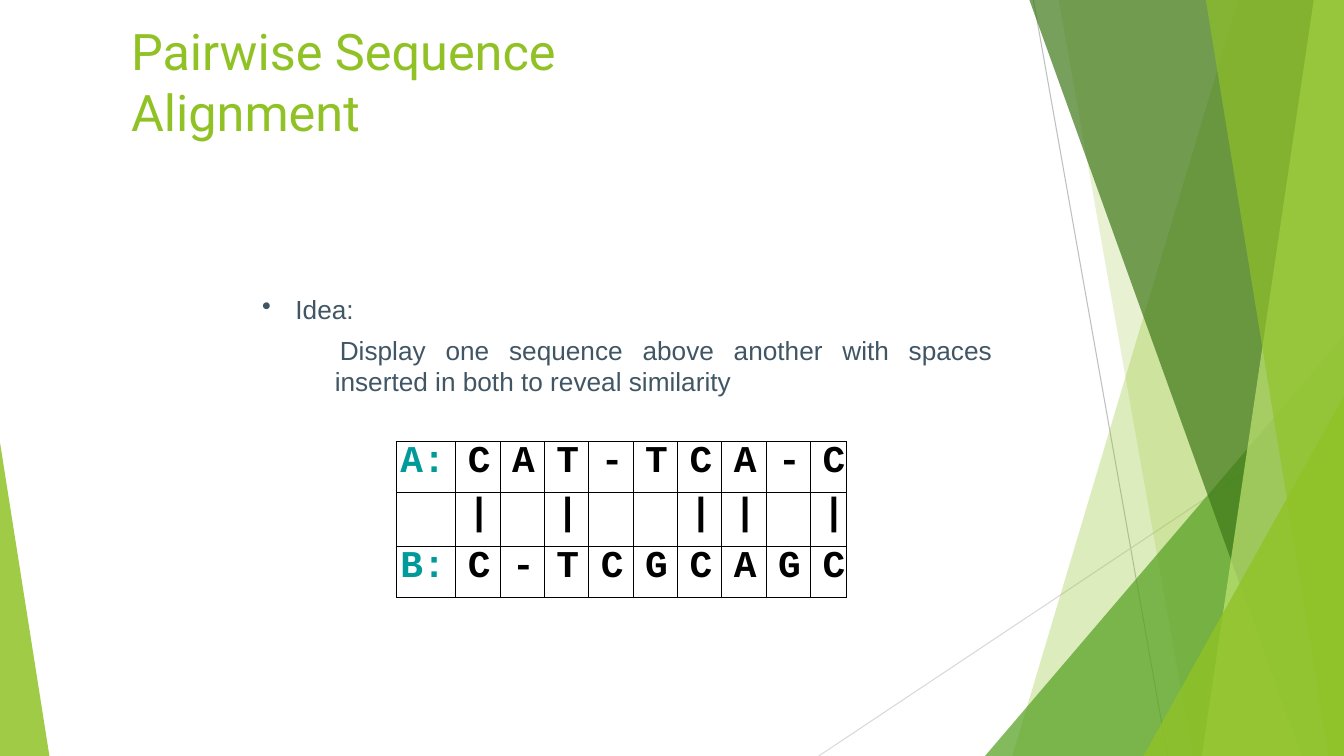
from lxml import etree
from pptx import Presentation
from pptx.dml.color import RGBColor
from pptx.enum.shapes import MSO_CONNECTOR, MSO_SHAPE
from pptx.enum.text import MSO_ANCHOR, MSO_AUTO_SIZE, PP_ALIGN
from pptx.oxml.ns import qn
from pptx.util import Inches, Pt

STRAIGHT = MSO_CONNECTOR.STRAIGHT
TRIANGLE = MSO_SHAPE.ISOSCELES_TRIANGLE
BOTTOM, TOP = MSO_ANCHOR.BOTTOM, MSO_ANCHOR.TOP
LEFT, JUSTIFY = PP_ALIGN.LEFT, PP_ALIGN.JUSTIFY

LIME = RGBColor(0x90, 0xC2, 0x26)
GREEN = RGBColor(0x54, 0xA0, 0x21)
FOREST = RGBColor(0x3F, 0x78, 0x19)
PALE_LIME = RGBColor(0xC0, 0xE4, 0x74)
GRAY = RGBColor(0xBF, 0xBF, 0xBF)
LIGHT_GRAY = RGBColor(0xD9, 0xD9, 0xD9)
SLATE = RGBColor(0x41, 0x56, 0x65)
TEAL = RGBColor(0x00, 0x9A, 0x9A)
BLACK = RGBColor(0, 0, 0)

# Content
W, H = 13.33, 7.5
TITLE = "Pairwise Sequence Alignment"
IDEA = "Idea:"
DETAIL = ("Display one sequence above another with spaces "
          "inserted in both to reveal similarity")
SEQ_A = "CAT-TCA-C"
SEQ_B = "C-TCGCAGC"
MATCHES = ["|" if a == b else "" for a, b in zip(SEQ_A, SEQ_B)]
ROWS = [["A:", *SEQ_A], ["", *MATCHES], ["B:", *SEQ_B]]
COL_WIDTHS = [0.59] + [0.44] * 8 + [0.36]
ROW_HEIGHTS = [0.51, 0.53, 0.51]

# Background: lines are (start, end, colour)
LINES = [((10.25, 0), (11.58, H), GRAY), ((W, 4.03), (8.12, H), LIGHT_GRAY)]
# Bands reach the right edge: (kind, top x, bottom x, colour, opacity %)
# Triangles: (kind, left, top, width, apex, colour, opacity %)
FACETS = [
    ("band", 12.28, 10.04, LIME, 30),
    ("band", 10.5, 11.83, LIME, 20),
    ("triangle", 9.77, 3.33, 3.56, 1, GREEN, 72),
    ("band", 10.21, 12.91, FOREST, 70),
    ("band", 13.03, 11.92, PALE_LIME, 70),
    ("band", 11.96, 13.18, LIME, 65),
    ("triangle", 11.34, 3.93, 1.99, 1, LIME, 80),
    ("triangle", 0, 4.39, 0.49, 0, LIME, 85),
]


def fill_facet(sp, color, opacity):
    sp.shadow.inherit = False
    sp.line.fill.background()
    sp.fill.solid()
    sp.fill.fore_color.rgb = color
    clr = sp._element.spPr.find(".//" + qn("a:srgbClr"))
    etree.SubElement(clr, qn("a:alpha"), val=str(opacity * 1000))


def add_band(s, top_x, bottom_x):
    fb = s.shapes.build_freeform(Inches(top_x), 0)
    corners = [(W, 0), (W, H), (bottom_x, H)]
    fb.add_line_segments([(Inches(x), Inches(y)) for x, y in corners])
    return fb.convert_to_shape()


def add_triangle(s, left, top, width, apex):
    sp = s.shapes.add_shape(TRIANGLE, Inches(left), Inches(top),
                            Inches(width), Inches(H - top))
    sp.adjustments[0] = apex
    return sp


def add_run(p, text, font, size, color, bold=False):
    r = p.add_run()
    r.text = text
    r.font.name, r.font.size, r.font.bold = font, Pt(size), bold
    r.font.color.rgb = color


def set_indent(p, left, first=0):
    pPr = p._p.get_or_add_pPr()
    pPr.set("marL", str(Inches(left)))
    pPr.set("indent", str(Inches(first)))
    return pPr


def set_margins(tf, margin):
    tf.margin_left = tf.margin_right = Inches(margin)
    tf.margin_top = tf.margin_bottom = Inches(margin)


def add_borders(cell):
    tcPr = cell._tc.get_or_add_tcPr()
    for i, side in enumerate(("lnL", "lnR", "lnT", "lnB")):
        ln = etree.Element(qn("a:" + side), w=str(Pt(0.75)))
        fill = etree.SubElement(ln, qn("a:solidFill"))
        etree.SubElement(fill, qn("a:srgbClr"), val=str(BLACK))
        tcPr.insert(i, ln)


def main():
    prs = Presentation()
    prs.slide_width, prs.slide_height = Inches(W), Inches(H)
    s = prs.slides.add_slide(prs.slide_layouts[5])

    # Background lines and facets
    for start, end, color in LINES:
        cn = s.shapes.add_connector(STRAIGHT, *map(Inches, start + end))
        cn.line.color.rgb, cn.line.width = color, Pt(0.75)
        etree.SubElement(cn._element.spPr, qn("a:effectLst"))
    for kind, *place, color, opacity in FACETS:
        add = add_band if kind == "band" else add_triangle
        fill_facet(add(s, *place), color, opacity)

    # Title
    sp = s.shapes.title
    sp.left, sp.top = Inches(1.17), Inches(0.75)
    sp.width, sp.height = Inches(5.28), Inches(0.78)
    tf = sp.text_frame
    tf.word_wrap, tf.auto_size = True, MSO_AUTO_SIZE.NONE
    tf.vertical_anchor = BOTTOM
    set_margins(tf, 0.13)
    p = tf.paragraphs[0]
    p.alignment = LEFT
    add_run(p, TITLE, "Roboto", 36, LIME)

    # Idea text
    tf = s.shapes.add_textbox(Inches(2.59), Inches(2.91),
                              Inches(7.25), Inches(1.04)).text_frame
    tf.word_wrap = True
    set_margins(tf, 0)
    p = tf.paragraphs[0]
    pPr = set_indent(p, 0.34, -0.33)
    bullet_color = etree.SubElement(pPr, qn("a:buClr"))
    etree.SubElement(bullet_color, qn("a:srgbClr"), val=str(SLATE))
    etree.SubElement(pPr, qn("a:buChar"), char="•")
    add_run(p, IDEA, "Arial", 18.7, SLATE)
    p = tf.add_paragraph()
    p.alignment, p.space_before = JUSTIFY, Pt(6.8)
    set_indent(p, 0.73, 0.05)
    add_run(p, DETAIL, "Arial", 18.7, SLATE)

    # Alignment table
    table = s.shapes.add_table(
        len(ROWS), len(COL_WIDTHS), Inches(3.93), Inches(4.38),
        Inches(sum(COL_WIDTHS)), Inches(sum(ROW_HEIGHTS))).table
    table.first_row = table.horz_banding = False
    for col, width in zip(table.columns, COL_WIDTHS):
        col.width = Inches(width)
    for row, height, texts in zip(table.rows, ROW_HEIGHTS, ROWS):
        row.height = Inches(height)
        for i, (cell, text) in enumerate(zip(row.cells, texts)):
            set_margins(cell, 0)
            cell.vertical_anchor = TOP
            cell.fill.background()
            add_borders(cell)
            if text:
                p = cell.text_frame.paragraphs[0]
                set_indent(p, 0.12 if i else 0.04)
                add_run(p, text, "Courier New", 27, BLACK if i else TEAL, True)

    prs.save("out.pptx")


if __name__ == "__main__":
    main()
